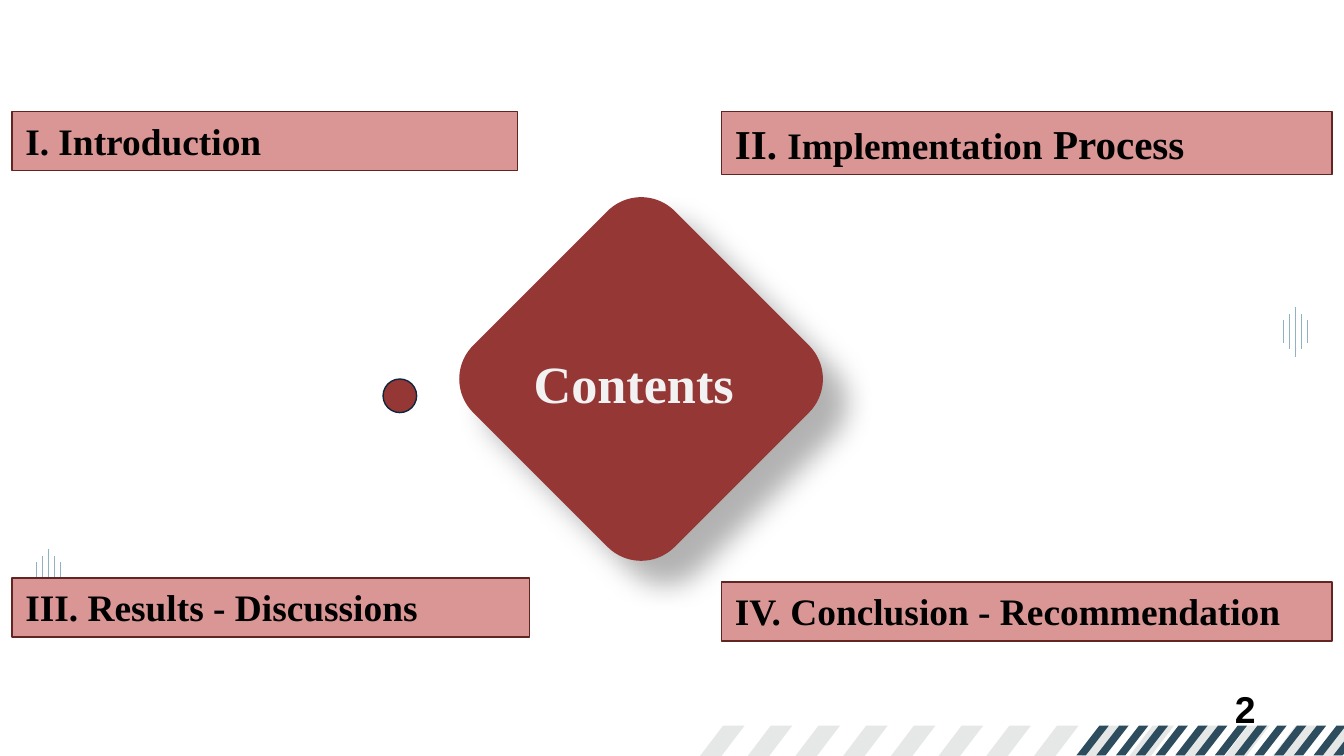
from pptx import Presentation, util as u
from pptx.dml.color import RGBColor
from pptx.enum import shapes, text
from pptx.oxml import ns
from lxml import etree


def color(value):
    return RGBColor.from_string(value)


def write(frame, runs, size=20, font="Times New Roman", ink="000000", bold=True,
          align=text.PP_ALIGN.LEFT, spacing=None, wrap=True,
          fit=text.MSO_AUTO_SIZE.SHAPE_TO_FIT_TEXT):
    frame.word_wrap = wrap
    frame.auto_size = fit
    frame.vertical_anchor = text.MSO_ANCHOR.TOP
    paragraph = frame.paragraphs[0]
    paragraph.alignment = align
    if spacing:
        paragraph.line_spacing = spacing
    for words, run_size in [(runs, size)] if isinstance(runs, str) else runs:
        run = paragraph.add_run()
        run.text = words
        run.font.size = u.Pt(run_size)
        run.font.name = font
        run.font.bold = bold
        run.font.color.rgb = color(ink)


class ContentsSlide:
    accent, bar_fill, bar_line = "953735", "D99694", "632523"
    pale, dark, tick_line = "E6E8E8", "2D4D5E", "8FB3C3"

    def __init__(self, slide):
        self.slide = slide

    def paint(self, shape, fill, line=None):
        shape.shadow.inherit = False
        shape.fill.solid()
        shape.fill.fore_color.rgb = color(fill)
        if line:
            shape.line.color.rgb = color(line)
            shape.line.width = u.Pt(0.75)
        else:
            shape.line.fill.background()
        return shape

    def shape(self, kind, box, fill, line=None):
        shape = self.slide.shapes.add_shape(kind, *map(u.Inches, box))
        return self.paint(shape, fill, line)

    def stripes(self, left, step, width, slant, height, fill, count=14, top=5.4):
        for i in range(count):
            x = left + i * step
            corners = [(x + slant, top), (x, top + height),
                       (x + width, top + height), (x + slant + width, top)]
            points = [(u.Inches(px), u.Inches(py)) for px, py in corners]
            outline = self.slide.shapes.build_freeform(*points[0])
            outline.add_line_segments(points[1:], close=True)
            self.paint(outline.convert_to_shape(), fill)

    def ticks(self, center, middle):
        for i, height in enumerate([0.17, 0.26, 0.37, 0.26, 0.17]):
            x = u.Inches(center + (i - 2) * 0.045)
            tick = self.slide.shapes.add_connector(
                shapes.MSO_CONNECTOR.STRAIGHT, x, u.Inches(middle - height / 2),
                x, u.Inches(middle + height / 2))
            tick.line.color.rgb = color(self.tick_line)
            tick.line.width = u.Pt(0.75)
            etree.SubElement(tick.element.spPr, ns.qn("a:effectLst"))

    def diamond(self, box):
        diamond = self.shape(shapes.MSO_SHAPE.ROUNDED_RECTANGLE, box, self.accent)
        diamond.rotation = 45
        effects = diamond.element.spPr.find(ns.qn("a:effectLst"))
        shadow = etree.SubElement(
            effects, ns.qn("a:outerShdw"), blurRad=str(u.Pt(15)),
            dist=str(u.Pt(18)), dir="2700000", algn="tl", rotWithShape="0")
        black = etree.SubElement(shadow, ns.qn("a:srgbClr"), val="000000")
        etree.SubElement(black, ns.qn("a:alpha"), val="30000")

    def title(self, box, words):
        title = self.slide.shapes.title
        title.left, title.top, title.width, title.height = map(u.Inches, box)
        write(title.text_frame, words, size=28, ink="F2F2F2",
              align=text.PP_ALIGN.CENTER, spacing=1.3)
        self.slide.shapes.element.append(title.element)

    def bar(self, box, runs):
        bar = self.shape(shapes.MSO_SHAPE.RECTANGLE, box, self.bar_fill, self.bar_line)
        write(bar.text_frame, runs)

    def page_number(self, box, number):
        label = self.slide.shapes.add_textbox(*map(u.Inches, box))
        write(label.text_frame, number, font="Arial", fit=text.MSO_AUTO_SIZE.NONE)


def main():
    deck = Presentation()
    deck.slide_width = u.Inches(10)
    deck.slide_height = u.Inches(10 * 9 / 16)
    page = ContentsSlide(deck.slides.add_slide(deck.slide_layouts[5]))

    page.stripes(4.97, 0.355, 0.16, 0.41, 0.54, page.pale)
    page.ticks(9.64, 2.47)
    page.stripes(8.01, 0.147, 0.07, 0.17, 0.22, page.dark)
    page.ticks(0.36, 4.27)
    page.page_number((9.09, 5.06, 0.8, 0.4), "2")

    page.diamond((3.71, 1.76, 2.12, 2.12))
    page.title((3.65, 2.42, 2.13, 0.65), "Contents")
    page.bar((0.09, 4.3, 3.85, 0.44), "III. Results - Discussions")
    page.bar((5.37, 4.33, 4.54, 0.44), "IV. Conclusion - Recommendation")
    page.shape(shapes.MSO_SHAPE.OVAL, (2.85, 2.82, 0.25, 0.25), page.accent, "0F243E")
    page.bar((0.09, 0.83, 3.76, 0.44), "I. Introduction")
    page.bar((5.37, 0.83, 4.54, 0.47),
             [("II. ", 22), ("Implementation", 20), (" Process", 22)])

    deck.save("out.pptx")


if __name__ == "__main__":
    main()
